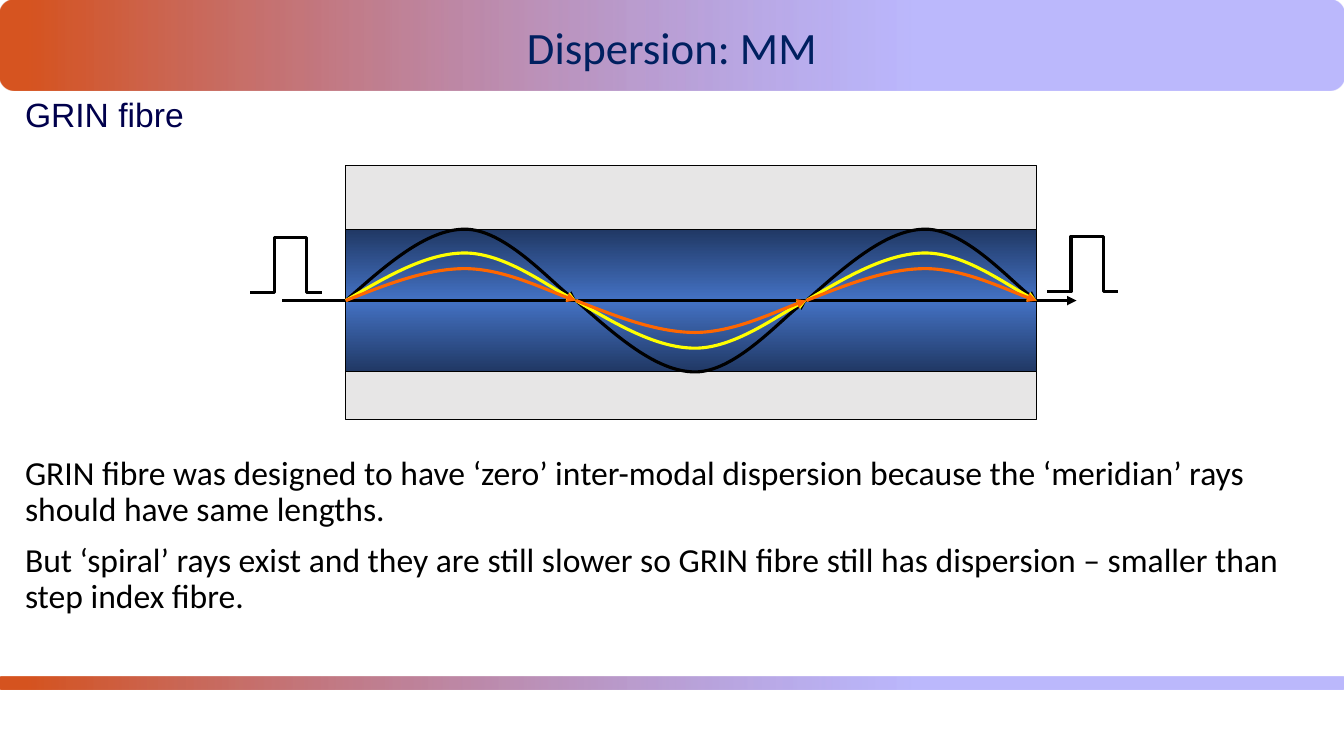
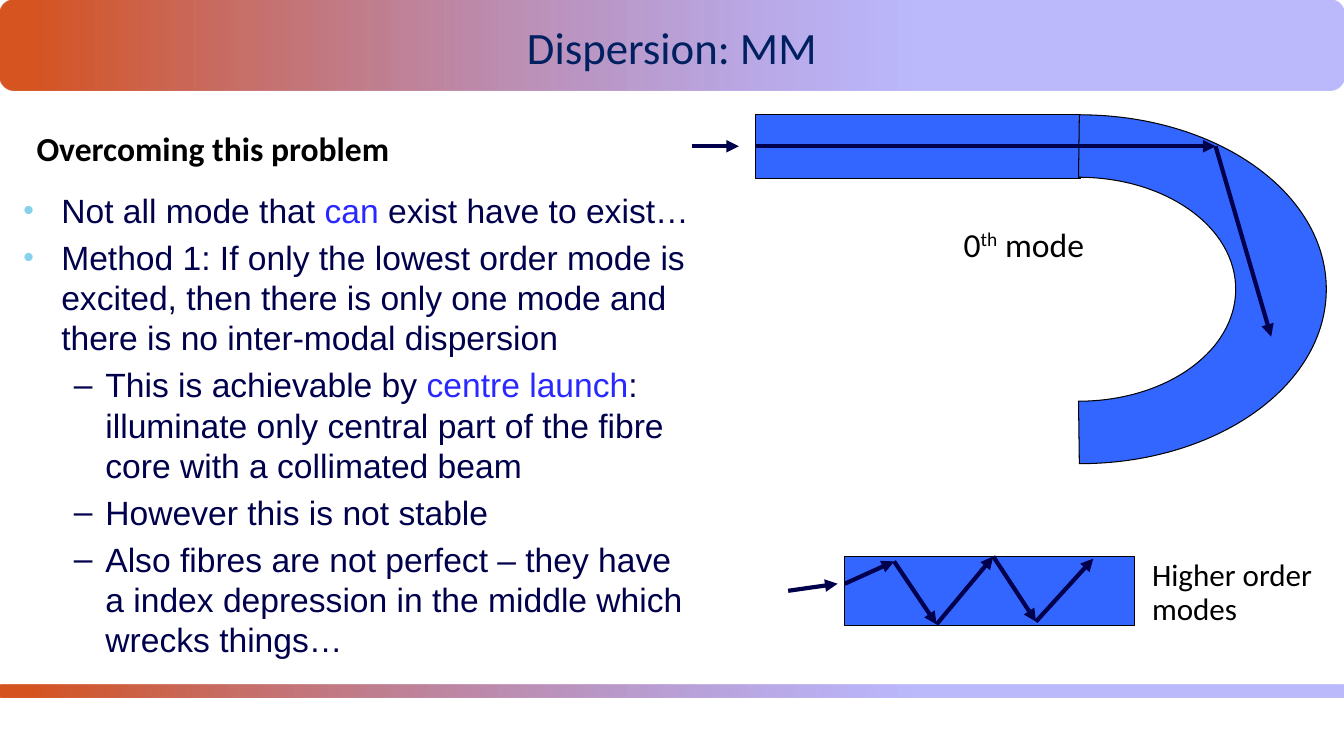
from copy import deepcopy
from itertools import pairwise

from pptx import Presentation
from pptx.dml.color import RGBColor
from pptx.enum.shapes import MSO_CONNECTOR, MSO_SHAPE
from pptx.enum.text import MSO_ANCHOR, PP_ALIGN
from pptx.oxml.ns import qn
from pptx.util import Pt
from lxml.etree import SubElement

COLORS = {
    "orange": "D65420", "lilac": "7B75FB", "title": "002060", "navy": "00004C",
    "black": "000000", "highlight": "2929FF", "bullet": "86D1EC",
    "cladding": "E7E6E6", "core_edge": "203864", "core_middle": "4472C4",
    "yellow_ray": "FFFF00", "orange_ray": "FF6600", "fibre": "3366FF",
}
RGB = {name: RGBColor.from_string(value) for name, value in COLORS.items()}


def add_text(page, place, lines, size=24, font="Calibri", color="black",
             spacing=0.9, before=0, anchor=MSO_ANCHOR.TOP):
    box = page.shapes.add_textbox(*map(Pt, place))
    frame = box.text_frame
    frame.word_wrap = True
    frame.vertical_anchor = anchor
    for index, line in enumerate(lines):
        para = frame.paragraphs[0] if index == 0 else frame.add_paragraph()
        para.line_spacing = spacing
        para.space_before = Pt(before if index else 0)
        for part in line.split("|"):
            span = para.add_run()
            span.text = part
            span.font.name = font
            span.font.size = Pt(size)
            span.font.color.rgb = RGB[color]
    return frame.paragraphs


def draw_line(shape, color, width, arrow=False):
    shape.line.color.rgb = RGB[color]
    shape.line.width = Pt(width)
    properties = shape._element.spPr
    if arrow:
        SubElement(properties.find(qn("a:ln")), qn("a:tailEnd"), type="triangle")
    SubElement(properties, qn("a:effectLst"))


deck = Presentation()
deck.slide_width, deck.slide_height = Pt(960), Pt(540)
pages = []
for footer_top in (483, 489):
    page = deck.slides.add_slide(deck.slide_layouts[6])
    pages.append(page)
    for top, height in ((0, 65), (footer_top, 9.4)):
        band = page.shapes.add_shape(MSO_SHAPE.ROUNDED_RECTANGLE, 0, Pt(top), Pt(960), Pt(height))
        band.shadow.inherit = False
        band.line.fill.background()
        band.fill.gradient()
        band.fill.gradient_angle = 0
        for stop, position, color in zip(band.fill.gradient_stops, (0.02, 0.68), ("orange", "lilac")):
            stop.position = position
            stop.color.rgb = RGB[color]
        lilac = band._element.spPr.findall(".//" + qn("a:srgbClr"))[-1]
        SubElement(lilac, qn("a:alpha"), val="51000")
    title = add_text(page, (0, 15, 960, 33), ["Dispersion: MM"], 32, color="title")
    title[0].alignment = PP_ALIGN.CENTER

grin, launch = pages

add_text(grin, (10.8, 69, 926, 39), ["GRIN fibre"], font="Arial", color="navy", spacing=0.8)
add_text(grin, (10.8, 322.6, 942, 150), [
    "GRIN fibre was designed to have ‘zero’ inter-modal dispersion because the ‘meridian’ rays should have same lengths.",
    "But ‘spiral’ rays exist and they are still slower so GRIN fibre still has dispersion – smaller than step index fibre.",
], before=10)

fibre_left, fibre_width, axis = 247, 493.5, 214.7
for page, place, color in (
        (grin, (fibre_left, 118, fibre_width, 181.5), "cladding"),
        (launch, (539.6, 82, 232.3, 45.4), "fibre"),
        (launch, (603.4, 397.7, 207, 49.3), "fibre")):
    block = page.shapes.add_shape(MSO_SHAPE.RECTANGLE, *map(Pt, place))
    block.fill.solid()
    block.fill.fore_color.rgb = RGB[color]
    draw_line(block, "black", 0.75)

core = grin.shapes.add_shape(
    MSO_SHAPE.RECTANGLE, Pt(fibre_left), Pt(axis - 51), Pt(fibre_width), Pt(102))
core.fill.gradient()
core.fill.gradient_angle = 90
stop_list = core._element.spPr.find(".//" + qn("a:gsLst"))
stop_list.append(deepcopy(stop_list[0]))
for stop, position, color in zip(
        core.fill.gradient_stops, (0, 0.5, 1), ("core_edge", "core_middle", "core_edge")):
    stop.position = position
    stop.color.rgb = RGB[color]
draw_line(core, "black", 0.75)

axis_arrow = grin.shapes.add_connector(
    MSO_CONNECTOR.STRAIGHT, Pt(201.6), Pt(axis), Pt(769), Pt(axis))
draw_line(axis_arrow, "black", 2.25, arrow=True)

outlines = []
half_wave = fibre_width / 3
arch = [
    [(0.175, 0.5), (0.35, 1), (0.517, 1)],
    [(0.684, 1), (0.917, 0.17), (1, 0)],
]
for color, amplitude in (("black", 51), ("yellow_ray", 34), ("orange_ray", 22.8)):
    for index, direction in enumerate((-1, 1, -1)):
        left = fibre_left + index * half_wave
        segments = [[(left + x * half_wave, axis + direction * y * amplitude) for x, y in curve]
                    for curve in arch]
        outlines.append((grin, (left, axis), segments, color, 2.25, None))

pulse = [(17.3, 0), (17.3, -39.6), (40.3, -39.6), (40.3, 0), (51.1, 0)]
for left, base in ((178.6, 209), (747.7, 208.4)):
    segments = [[(left + x, base + y)] for x, y in pulse]
    outlines.append((grin, (left, base), segments, "black", 2.25, None))

center_y, kappa = 206.6, 0.555
half_ellipse = [
    [(kappa, -1), (1, -kappa), (1, 0)],
    [(1, kappa), (kappa, 1), (0, 1)],
]
inner, outer = [
    [[(center_x + x * radius_x, center_y + side * y * radius_y) for x, y in curve]
     for curve in half_ellipse]
    for center_x, radius_x, radius_y, side in ((770.4, 112.3, 80, 1), (771, 176.4, 124.6, -1))
]
bend = inner + [[(771, center_y + 124.6)]] + outer
outlines.append((launch, (770.4, center_y - 80), bend, "black", 0.75, "fibre"))

for page, start, segments, color, width, fill in outlines:
    builder = page.shapes.build_freeform(*map(Pt, start))
    corners = [(Pt(x), Pt(y)) for segment in segments for x, y in segment]
    builder.add_line_segments(corners, close=fill is not None)
    outline = builder.convert_to_shape()
    lines = iter(outline._element.spPr.findall(".//" + qn("a:lnTo")))
    for segment in segments:
        group = [next(lines) for _ in segment]
        if len(group) == 3:
            curve = group[0].getparent().makeelement(qn("a:cubicBezTo"))
            group[0].addprevious(curve)
            for line in group:
                curve.append(line[0])
                line.getparent().remove(line)
    if fill:
        outline.fill.solid()
        outline.fill.fore_color.rgb = RGB[fill]
    else:
        outline.fill.background()
    draw_line(outline, color, width, arrow=not fill and len(segments) == len(arch))

body = add_text(launch, (9.7, 132.2, 491, 355), [
    "Not all mode that |can| exist have to exist…",
    "Method 1: If only the lowest order mode is excited, then there is only one mode and there is no inter-modal dispersion",
    "This is achievable by |centre launch|: illuminate only central part of the fibre core with a collimated beam",
    "However this is not stable",
    "Also fibres are not perfect – they have a index depression in the middle which wrecks things…",
], font="Arial", color="navy", spacing=Pt(28.75), before=4.8)
for index, para in enumerate(body):
    level = 0 if index < 2 else 1
    para.level = level
    margin, hanging, symbol = ((27, 27, "•"), (58.5, 22.5, "–"))[level]
    properties = para._p.get_or_add_pPr()
    properties.set("marL", str(Pt(margin)))
    properties.set("indent", str(-Pt(hanging)))
    if level == 0:
        bullet_color = SubElement(properties, qn("a:buClr"))
        SubElement(bullet_color, qn("a:srgbClr"), val=COLORS["bullet"])
        SubElement(properties, qn("a:buSzPct"), val="90000")
    SubElement(properties, qn("a:buFont"), typeface="Arial")
    SubElement(properties, qn("a:buChar"), char=symbol)
    for span in para.runs[1::2]:
        span.font.color.rgb = RGB["highlight"]

heading = add_text(launch, (19, 81.5, 403, 42.5), ["Overcoming this problem"], anchor=MSO_ANCHOR.BOTTOM)
heading[0].runs[0].font.bold = True

routes = [
    [(539.6, 104.5), (868.3, 104.5), (908, 240.5)],
    [(494, 104.5), (527.8, 104.5)],
    [(563, 422), (598.3, 417)],
    [(603.4, 417), (638.7, 401), (669, 446), (709.5, 397.5), (740, 444), (781, 399)],
]
for route in routes:
    for start, end in pairwise(route):
        arrow = launch.shapes.add_connector(MSO_CONNECTOR.STRAIGHT, *map(Pt, start + end))
        draw_line(arrow, "navy", 3, arrow=True)

mode = add_text(launch, (681.3, 149.8, 112.3, 42.5), ["0|th| mode"], anchor=MSO_ANCHOR.BOTTOM)
mode[0].runs[1].font._element.set("baseline", "30000")
add_text(launch, (815.8, 376.6, 131.8, 75), ["Higher order modes"], 22.2, anchor=MSO_ANCHOR.BOTTOM)

deck.save("out.pptx")
